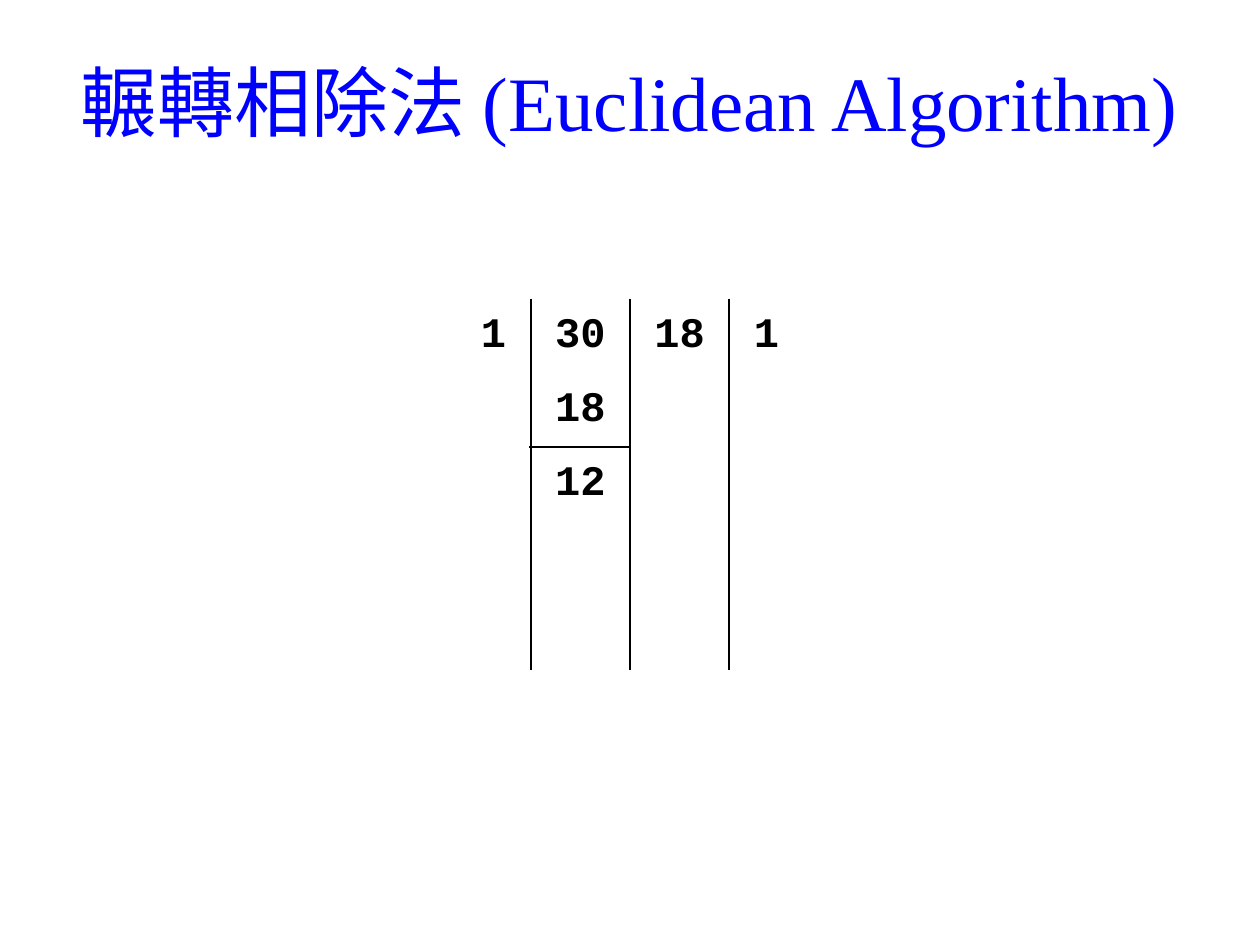
from dataclasses import dataclass

from lxml.etree import SubElement
from pptx import Presentation
from pptx.dml.color import RGBColor
from pptx.enum.text import MSO_ANCHOR, PP_ALIGN
from pptx.oxml.ns import qn
from pptx.util import Inches, Pt


@dataclass(frozen=True)
class Theme:
    """Colours, fonts and type sizes of the slide."""
    title_color: str = "0000FF"
    ink: str = "000000"
    chinese_font: str = "Noto Sans CJK SC"
    latin_font: str = "Times New Roman"
    digit_font: str = "Courier New"
    title_size: int = 44
    digit_size: int = 24
    rule_width: float = 1.5


THEME = Theme()
SLIDE_WIDTH, SLIDE_HEIGHT = Inches(10), Inches(7.5)
TITLE_BOX = (0.27, 0.21, 9.45, 1.18)
DIVISION_BOX = (3.62, 2.37, 2.76, 2.95)
COLUMN_SHARES = (3, 4, 4, 3)
ROW_COUNT = 5
DIVISION_STEPS = (("1", "30", "18", "1"), ("", "18"), ("", "12"))
SUBTRACTION_RULE = (2, 1)


def add_run(paragraph, text, font_name, size, color, bold=False):
    """Append one formatted run, usable for Latin and Chinese text."""
    run = paragraph.add_run()
    run.text = text
    font = run.font
    font.name, font.size, font.bold = font_name, Pt(size), bold
    font.color.rgb = RGBColor.from_string(color)
    SubElement(run._r.get_or_add_rPr(), qn("a:ea"), typeface=font_name)


def place_title(slide, box):
    """Place the bilingual heading in its box."""
    title = slide.shapes.title
    title.left, title.top, title.width, title.height = map(Inches, box)
    frame = title.text_frame
    frame.word_wrap = True
    frame.vertical_anchor = MSO_ANCHOR.MIDDLE
    paragraph = frame.paragraphs[0]
    paragraph.alignment = PP_ALIGN.CENTER
    for text, font_name in (("輾轉相除法 ", THEME.chinese_font),
                            ("(Euclidean Algorithm)", THEME.latin_font)):
        add_run(paragraph, text, font_name, THEME.title_size, THEME.title_color)


def set_borders(cell, ruled_sides):
    """Rule the named sides of a cell and clear the others."""
    properties = cell._tc.get_or_add_tcPr()
    for side in "LRTB":
        line = SubElement(properties, qn(f"a:ln{side}"), w=str(Pt(THEME.rule_width)))
        if side in ruled_sides:
            fill = SubElement(line, qn("a:solidFill"))
            SubElement(fill, qn("a:srgbClr"), val=THEME.ink)
        else:
            SubElement(line, qn("a:noFill"))


def ruled_sides_at(row, column):
    """Name the ruled sides of the cell at a grid position."""
    rule_row, rule_column = SUBTRACTION_RULE
    conditions = {
        "L": column > 0,
        "R": column < len(COLUMN_SHARES) - 1,
        "T": (row, column) == (rule_row, rule_column),
        "B": (row, column) == (rule_row - 1, rule_column),
    }
    return [side for side, ruled in conditions.items() if ruled]


def place_division(slide, box):
    """Place the division table, with quotients in the outer columns."""
    left, top, width, height = map(Inches, box)
    table = slide.shapes.add_table(ROW_COUNT, len(COLUMN_SHARES), left, top, width, height).table
    table.first_row = table.horz_banding = False
    for column, share in zip(table.columns, COLUMN_SHARES):
        column.width = int(width * share / sum(COLUMN_SHARES))
    for row_index, row in enumerate(table.rows):
        row.height = height // ROW_COUNT
        for column_index, cell in enumerate(row.cells):
            set_borders(cell, ruled_sides_at(row_index, column_index))
            cell.fill.background()
            cell.vertical_anchor = MSO_ANCHOR.MIDDLE
            cell.margin_left = cell.margin_right = Inches(0.1)
            cell.margin_top = cell.margin_bottom = Inches(0.02)
    for row_index, numbers in enumerate(DIVISION_STEPS):
        for column_index, number in enumerate(numbers):
            if number:
                paragraph = table.cell(row_index, column_index).text_frame.paragraphs[0]
                paragraph.alignment = PP_ALIGN.CENTER
                add_run(paragraph, number, THEME.digit_font, THEME.digit_size, THEME.ink, True)


def main():
    """Build and save the slide."""
    presentation = Presentation()
    presentation.slide_width, presentation.slide_height = SLIDE_WIDTH, SLIDE_HEIGHT
    slide = presentation.slides.add_slide(presentation.slide_layouts[5])
    place_title(slide, TITLE_BOX)
    place_division(slide, DIVISION_BOX)
    presentation.save("out.pptx")


if __name__ == "__main__":
    main()
